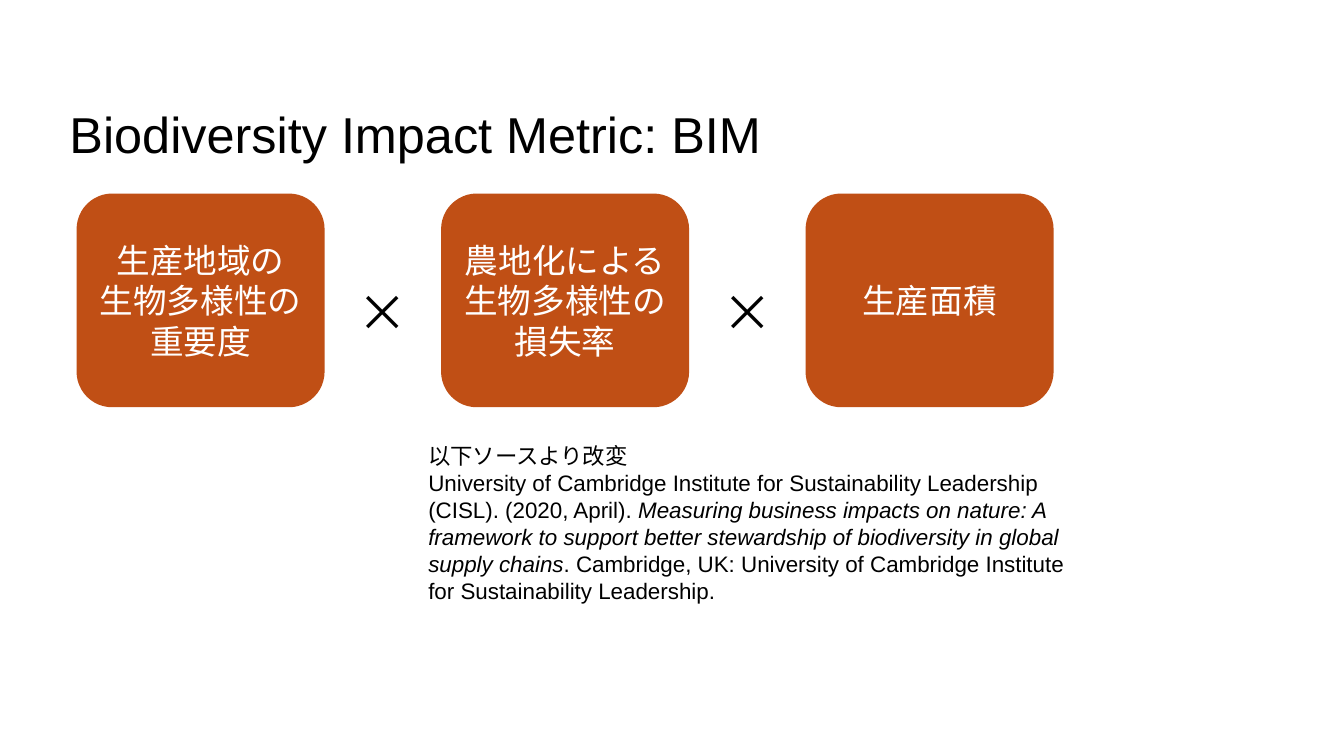
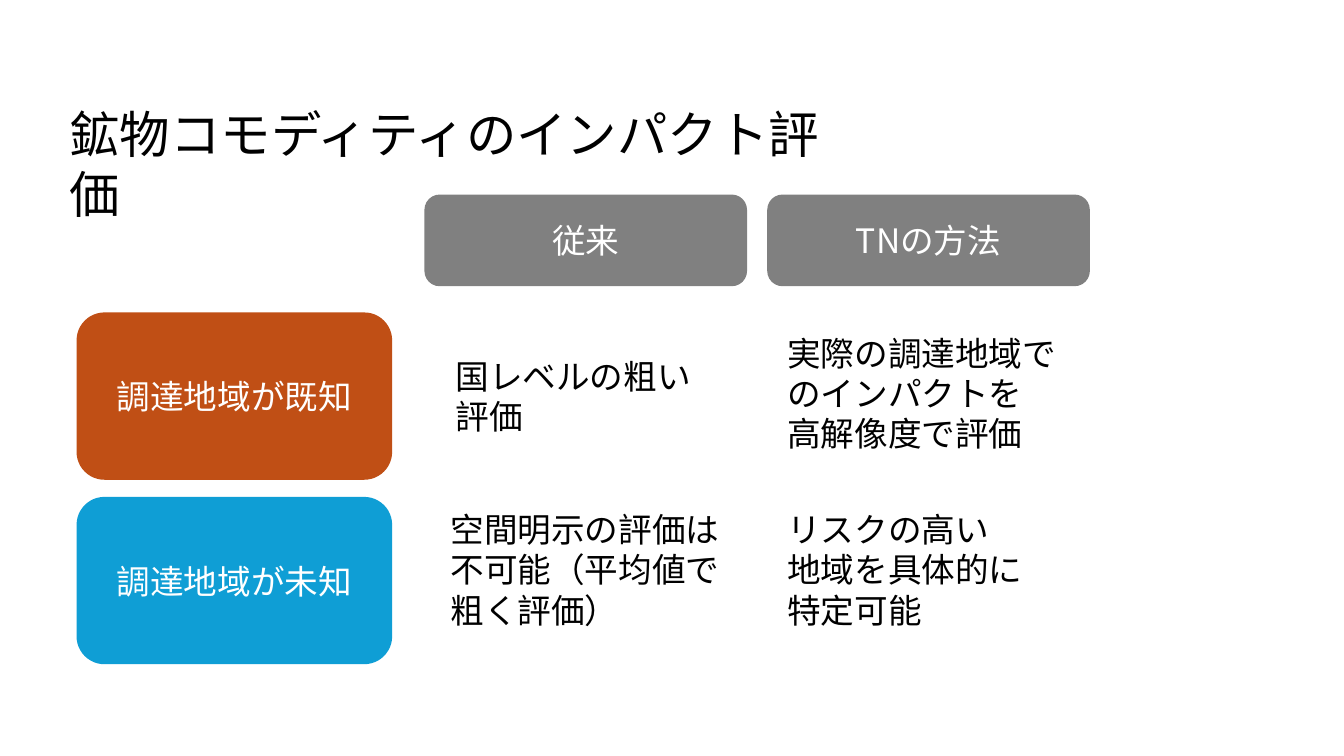
"""Build two slides on biodiversity impact metrics and mineral commodity assessment."""
from dataclasses import dataclass

from lxml import etree
from pptx import Presentation
from pptx.dml.color import RGBColor
from pptx.enum.shapes import MSO_SHAPE
from pptx.enum.text import MSO_ANCHOR, PP_ALIGN
from pptx.oxml.ns import qn
from pptx.util import Inches, Pt

ROUNDED = MSO_SHAPE.ROUNDED_RECTANGLE
MIDDLE = MSO_ANCHOR.MIDDLE
TOP = MSO_ANCHOR.TOP
CENTER = PP_ALIGN.CENTER
LEFT = PP_ALIGN.LEFT


@dataclass(frozen=True)
class Theme:
    orange: RGBColor = RGBColor(0xC0, 0x4F, 0x15)
    blue: RGBColor = RGBColor(0x0F, 0x9E, 0xD5)
    gray: RGBColor = RGBColor(0x80, 0x80, 0x80)
    white: RGBColor = RGBColor(0xFF, 0xFF, 0xFF)
    black: RGBColor = RGBColor(0, 0, 0)
    latin: str = "Arial"
    japanese: str = "Noto Sans CJK JP"
    title_size: int = 36
    body_size: int = 24
    source_size: int = 16


THEME = Theme()


def add_text(slide, box, paragraphs, size=THEME.body_size, font=THEME.japanese):
    text_box = slide.shapes.add_textbox(*map(Inches, box))
    fill_text(text_box.text_frame, paragraphs, size, font, THEME.black, LEFT, TOP)


def fill_text(frame, paragraphs, size, font, color, alignment, anchor):
    frame.word_wrap = True
    frame.vertical_anchor = anchor
    for index, runs in enumerate(paragraphs):
        paragraph = frame.add_paragraph() if index else frame.paragraphs[0]
        paragraph.alignment = alignment
        paragraph.font.size = Pt(size)
        paragraph.font.name = font
        paragraph.font.color.rgb = color
        defaults = paragraph._p.get_or_add_pPr().find(qn("a:defRPr"))
        etree.SubElement(defaults, qn("a:ea")).set("typeface", THEME.japanese)
        for position, words in enumerate([runs] if isinstance(runs, str) else runs):
            run = paragraph.add_run()
            run.text = words
            if position % 2:
                run.font.italic = True


prs = Presentation()
prs.slide_width = Inches(13.33)
prs.slide_height = Inches(7.5)
blank = prs.slide_layouts[6]

metric = prs.slides.add_slide(blank)
commodity = prs.slides.add_slide(blank)

titles = [
    (metric, "Biodiversity Impact Metric: BIM"),
    (commodity, "鉱物コモディティのインパクト評価"),
]
for slide, title in titles:
    add_text(slide, (0.59, 0.97, 7.65, 0.71), [title], THEME.title_size, THEME.latin)

left_edge = 0.76
factor_pitch = 3.615
factors = [
    ["生産地域の", "生物多様性の重要度"],
    ["農地化による生物多様性の損失率"],
    ["生産面積"],
]
cards = [
    (metric, (left_edge + column * factor_pitch, 1.92, 2.46, 2.12), THEME.orange, factor)
    for column, factor in enumerate(factors)
]

method_left, method_pitch = 4.21, 3.4
for column, method in enumerate(["従来", "TNの方法"]):
    box = (method_left + column * method_pitch, 1.93, 3.2, 0.91)
    cards.append((commodity, box, THEME.gray, [method]))

case_top, case_pitch = 3.1, 1.83
cases = [("調達地域が既知", THEME.orange), ("調達地域が未知", THEME.blue)]
for row, (case, color) in enumerate(cases):
    box = (left_edge, case_top + row * case_pitch, 3.13, 1.66)
    cards.append((commodity, box, color, [case]))

for slide, box, color, label in cards:
    card = slide.shapes.add_shape(ROUNDED, *map(Inches, box))
    card.shadow.inherit = False
    card.fill.solid()
    card.fill.fore_color.rgb = color
    card.line.fill.background()
    fill_text(card.text_frame, label, THEME.body_size, THEME.japanese,
              THEME.white, CENTER, MIDDLE)

for gap in range(len(factors) - 1):
    add_text(metric, (3.45 + gap * factor_pitch, 2.74, 0.71, 0.71), ["×"], THEME.title_size)

source = [
    "以下ソースより改変",
    [
        "University of Cambridge Institute for Sustainability Leadership (CISL). (2020, April). ",
        "Measuring business impacts on nature: A framework to support better "
        "stewardship of biodiversity in global supply chains",
        ". Cambridge, UK: University of Cambridge Institute for Sustainability Leadership.",
    ],
]
add_text(metric, (4.15, 4.34, 6.66, 1.72), source, THEME.source_size, THEME.latin)

findings = [
    (4.42, 3.48, 0.91, ["国レベルの粗い", "評価"]),
    (4.37, 5, 1.31, ["空間明示の評価は不可能（平均値で粗く評価）"]),
    (7.71, 3.25, 1.31, ["実際の調達地域でのインパクトを", "高解像度で評価"]),
    (7.71, 5, 1.31, ["リスクの高い", "地域を具体的に", "特定可能"]),
]
for left, top, height, finding in findings:
    add_text(commodity, (left, top, 2.99, height), finding)

prs.save("out.pptx")
